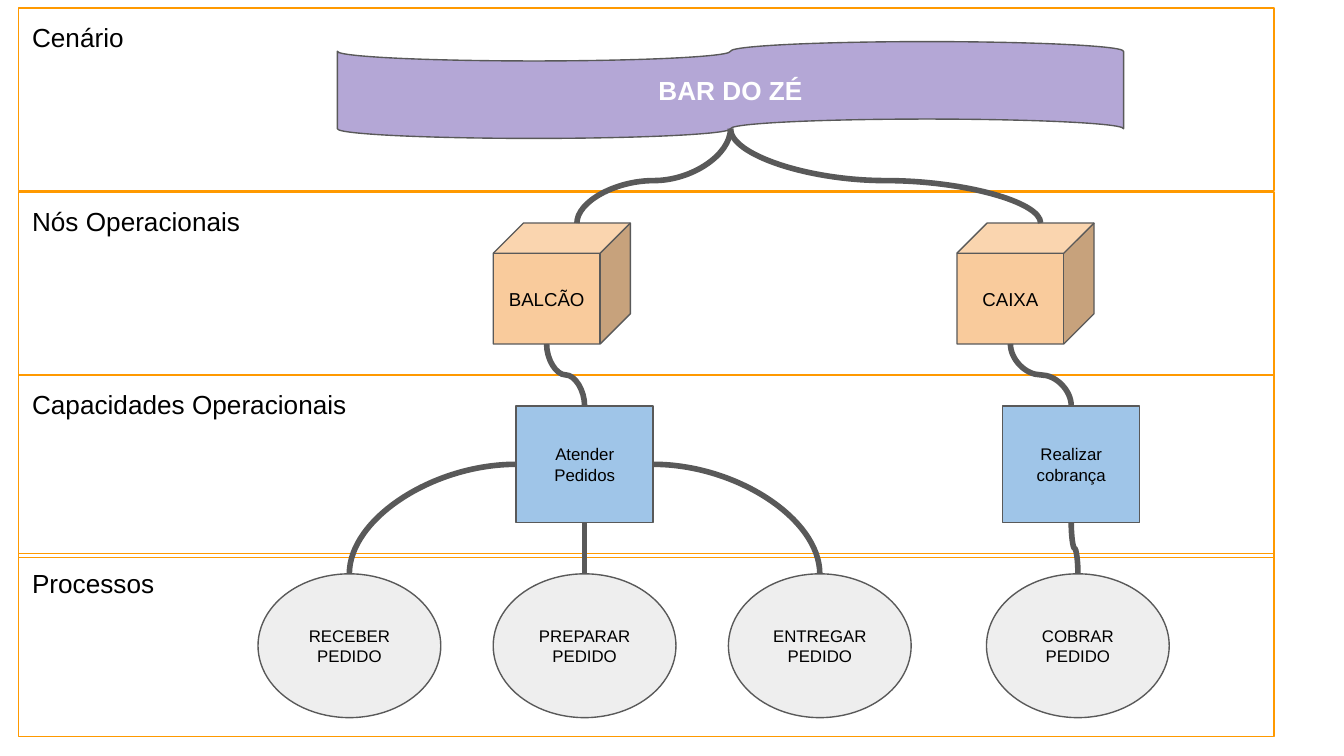
from lxml.etree import SubElement
from pptx import Presentation
from pptx.dml.color import RGBColor
from pptx.enum.shapes import MSO_CONNECTOR, MSO_SHAPE as SHAPE
from pptx.enum.text import MSO_ANCHOR as ANCHOR, PP_ALIGN as ALIGN
from pptx.oxml.ns import qn
from pptx.util import Inches, Pt

BLACK = RGBColor(0x00, 0x00, 0x00)
WHITE = RGBColor(0xFF, 0xFF, 0xFF)
ORANGE = RGBColor(0xFF, 0x99, 0x00)
GRAY = RGBColor(0x59, 0x59, 0x59)
PURPLE = RGBColor(0xB4, 0xA7, 0xD6)
PEACH = RGBColor(0xF9, 0xCB, 0x9C)
BLUE = RGBColor(0x9F, 0xC5, 0xE8)
SILVER = RGBColor(0xEE, 0xEE, 0xEE)

BANDS = [
    ("Cenário", 0.06),
    ("Nós Operacionais", 1.43),
    ("Capacidades Operacionais", 2.79),
    ("Processos", 4.12),
]
BAND_LEFT, BAND_WIDTH, BAND_HEIGHT = 0.14, 9.34, 1.36

KINDS = {
    "scenario": (SHAPE.FLOWCHART_PUNCHED_TAPE, 0.31, 5.85, 0.72, PURPLE, 14),
    "node": (SHAPE.CUBE, 1.66, 1.02, 0.9, PEACH, 10),
    "capability": (SHAPE.RECTANGLE, 3.02, 1.02, 0.87, BLUE, 9),
    "process": (SHAPE.OVAL, 4.27, 1.36, 1.07, SILVER, 9),
}
CUBE_DEPTH = 0.25
TAPE_BOTTOM = 0.9

ELEMENTS = [
    ("BAR DO ZÉ", "scenario", 2.51),
    ("BALCÃO", "node", 3.67),
    ("Atender Pedidos", "capability", 3.84),
    ("RECEBER PEDIDO", "process", 1.92),
    ("CAIXA", "node", 7.12),
    ("PREPARAR PEDIDO", "process", 3.67),
    ("ENTREGAR PEDIDO", "process", 5.42),
    ("Realizar cobrança", "capability", 7.46),
    ("COBRAR PEDIDO", "process", 7.34),
]

LINKS = [
    ("BAR DO ZÉ", "bottom", "BALCÃO", 0.55),
    ("BAR DO ZÉ", "bottom", "CAIXA", 0.55),
    ("BALCÃO", "bottom", "Atender Pedidos", 0.5),
    ("CAIXA", "bottom", "Realizar cobrança", 0.5),
    ("Atender Pedidos", "left", "RECEBER PEDIDO", None),
    ("Atender Pedidos", "bottom", "PREPARAR PEDIDO", 0.5),
    ("Atender Pedidos", "right", "ENTREGAR PEDIDO", None),
    ("Realizar cobrança", "bottom", "COBRAR PEDIDO", 0.5),
]


def add_block(slide, kind, box, text, size, line_color, fill=None, font_color=BLACK, centered=True):
    shape = slide.shapes.add_shape(kind, *map(Inches, box))
    shape.shadow.inherit = False
    if fill is None:
        shape.fill.background()
    else:
        shape.fill.solid()
        shape.fill.fore_color.rgb = fill
    shape.line.color.rgb = line_color
    shape.line.width = Pt(0.75)
    frame = shape.text_frame
    frame.word_wrap = True
    frame.margin_left = frame.margin_right = Inches(0.1)
    frame.margin_top = frame.margin_bottom = Inches(0.1)
    frame.vertical_anchor = ANCHOR.MIDDLE if centered else ANCHOR.TOP
    frame.text = text
    paragraph = frame.paragraphs[0]
    paragraph.alignment = ALIGN.CENTER if centered else ALIGN.LEFT
    font = paragraph.runs[0].font
    font.name = "Arial"
    font.size = Pt(size)
    font.color.rgb = font_color
    return shape


def anchor_points(kind, left):
    _, top, width, height, _, _ = KINDS[kind]
    center = left + width / 2
    shift = CUBE_DEPTH * height / 2 if kind == "node" else 0
    bottom = top + height * (TAPE_BOTTOM if kind == "scenario" else 1)
    return {
        "top": (center + shift, top),
        "bottom": (center - shift, bottom),
        "left": (left, top + height / 2),
        "right": (left + width, top + height / 2),
    }


def add_curve(slide, start, end, bend):
    (x1, y1), (x2, y2) = start, end
    rotation = 0
    if bend is not None:
        middle_x, middle_y = (x1 + x2) / 2, (y1 + y2) / 2
        half_width, half_height = (y2 - y1) / 2, abs(x2 - x1) / 2
        rotation, direction = (90, 1) if x2 < x1 else (270, -1)
        x1, x2 = middle_x - direction * half_width, middle_x + direction * half_width
        y1, y2 = middle_y - half_height, middle_y + half_height
    connector = slide.shapes.add_connector(MSO_CONNECTOR.CURVE, *map(Inches, (x1, y1, x2, y2)))
    connector.line.color.rgb = GRAY
    connector.line.width = Pt(3)
    properties = connector._element.spPr
    SubElement(properties, qn("a:effectLst"))
    geometry = properties.find(qn("a:prstGeom"))
    if bend is None:
        geometry.set("prst", "curvedConnector2")
    else:
        properties.find(qn("a:xfrm")).set("rot", str(rotation * 60000))
        guide = SubElement(geometry.find(qn("a:avLst")), qn("a:gd"))
        guide.set("name", "adj1")
        guide.set("fmla", f"val {round(bend * 100000)}")


def main():
    presentation = Presentation()
    presentation.slide_width = Inches(10)
    presentation.slide_height = Inches(10) * 9 // 16
    slide = presentation.slides.add_slide(presentation.slide_layouts[6])

    for label, top in BANDS:
        box = (BAND_LEFT, top, BAND_WIDTH, BAND_HEIGHT)
        add_block(slide, SHAPE.RECTANGLE, box, label, 14, ORANGE, centered=False)

    points = {}
    for text, kind, left in ELEMENTS:
        preset, top, width, height, fill, size = KINDS[kind]
        is_scenario = kind == "scenario"
        shape = add_block(slide, preset, (left, top, width, height), text, size, GRAY, fill,
                          WHITE if is_scenario else BLACK)
        shape.text_frame.paragraphs[0].runs[0].font.bold = is_scenario
        if kind == "node":
            shape.adjustments[0] = CUBE_DEPTH
        points[text] = anchor_points(kind, left)

    for source, side, target, bend in LINKS:
        add_curve(slide, points[source][side], points[target]["top"], bend)

    presentation.save("out.pptx")


if __name__ == "__main__":
    main()
